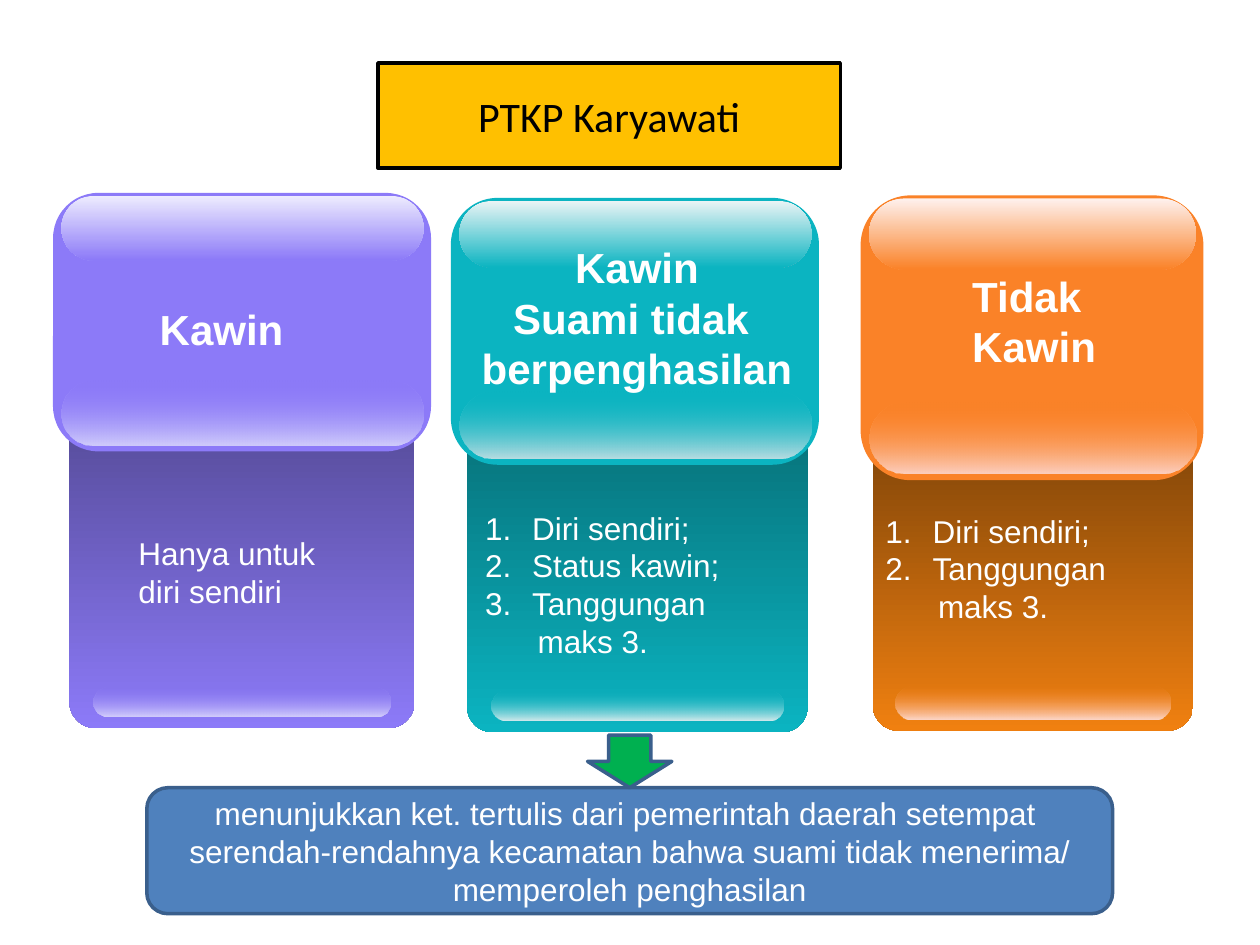
from collections import namedtuple

from lxml.etree import SubElement
from pptx import Presentation
from pptx.dml.color import RGBColor
from pptx.enum.shapes import MSO_SHAPE
from pptx.enum.text import MSO_ANCHOR, PP_ALIGN
from pptx.oxml import parse_xml
from pptx.oxml.ns import nsdecls, qn
from pptx.util import Cm, Pt

Box = namedtuple("Box", "left top width height")
Stop = namedtuple("Stop", "color opaque", defaults=[True])
Label = namedtuple("Label", "box lines align", defaults=[PP_ALIGN.LEFT])
Note = namedtuple("Note", "box items tail", defaults=[None])
Tones = namedtuple("Tones", "cap dark bright top_gloss low_gloss foot_gloss")

WHITE = "FFFFFF"
BLUE_EDGE = "3A5F8C"
LIST_INDENT = Cm(0.95)
TAIL_INDENT = Cm(1.06)


def rgb(color):
    """Turn a hex string into a colour."""
    return RGBColor.from_string(color)


def lengths(box):
    """Turn a box in centimetres into lengths."""
    return [Cm(value) for value in box]


def inside(outer, inner):
    """Shift a relative box into the box that holds it."""
    return Box(outer.left + inner.left, outer.top + inner.top, inner.width, inner.height)


def add_plain(shapes, kind, box, color=None, edge=None, corner=None):
    """Add a preset shape without shadow."""
    shape = shapes.add_shape(kind, *lengths(box))
    shape.shadow.inherit = False
    if corner is not None:
        shape.adjustments[0] = corner
    if color:
        paint(shape, color)
    if edge:
        outline(shape, edge)
    else:
        shape.line.fill.background()
    return shape


def paint(shape, color):
    """Fill a shape with one colour."""
    shape.fill.solid()
    shape.fill.fore_color.rgb = rgb(color)


def outline(shape, color):
    """Give a shape a two-point edge."""
    shape.line.color.rgb = rgb(color)
    shape.line.width = Pt(2)


def add_shaded(shapes, box, corner, upper, lower):
    """Add a rounded box shaded from its upper to its lower stop."""
    shape = add_plain(shapes, MSO_SHAPE.ROUNDED_RECTANGLE, box, corner=corner)
    shape.fill.gradient()
    shape.fill.gradient_angle = 270
    for target, stop in zip(shape.fill.gradient_stops, (upper, lower)):
        target.color.rgb = rgb(stop.color)
    tints = shape._element.spPr.iter(qn("a:srgbClr"))
    for tint, stop in zip(list(tints), (upper, lower)):
        if not stop.opaque:
            SubElement(tint, qn("a:alpha"), val="0")


def add_paragraph(frame, index, text, size, color=WHITE, face="Arial", align=PP_ALIGN.LEFT):
    """Write one line of text as a paragraph and return it."""
    paragraph = frame.paragraphs[0] if index == 0 else frame.add_paragraph()
    paragraph.alignment = align
    run = paragraph.add_run()
    run.text = text
    run.font.size = Pt(size)
    run.font.name = face
    run.font.color.rgb = rgb(color)
    return paragraph


def add_frame(shapes, box):
    """Add a wrapping text box and return its frame."""
    frame = shapes.add_textbox(*lengths(box)).text_frame
    frame.word_wrap = True
    return frame


def add_label(shapes, box, label):
    """Write a bold heading with a black text shadow."""
    frame = add_frame(shapes, box)
    for index, line in enumerate(label.lines):
        run = add_paragraph(frame, index, line, 24, align=label.align).runs[0]
        run.font.bold = True
        run._r.rPr.find(qn("a:solidFill")).addnext(parse_xml(
            f'<a:effectLst {nsdecls("a")}><a:outerShdw dist="35921" dir="2700000">'
            '<a:srgbClr val="000000"/></a:outerShdw></a:effectLst>'))


def indent(paragraph, margin, first):
    """Set the left margin and first-line indent of a paragraph."""
    properties = paragraph._p.get_or_add_pPr()
    properties.set("marL", str(margin))
    properties.set("indent", str(first))
    return properties


def add_note(shapes, box, note):
    """Write plain lines, or a numbered list when a tail line ends it."""
    frame = add_frame(shapes, box)
    for index, item in enumerate(note.items):
        paragraph = add_paragraph(frame, index, item, 18)
        if note.tail:
            properties = indent(paragraph, LIST_INDENT, -LIST_INDENT)
            SubElement(properties, qn("a:buFont"), typeface="+mj-lt")
            SubElement(properties, qn("a:buAutoNum"), type="arabicPeriod")
    if note.tail:
        indent(add_paragraph(frame, len(note.items), note.tail, 18), TAIL_INDENT, 0)


def add_column(slide, cap, body, tones, label, note):
    """Draw one glossy column: shaded body, cap, glosses and texts."""
    shapes = slide.shapes.add_group_shape().shapes
    clear = Stop(tones.cap, False)
    add_shaded(shapes, body, 0.079, Stop(tones.dark), Stop(tones.bright))
    add_plain(shapes, MSO_SHAPE.ROUNDED_RECTANGLE, cap, tones.cap, corner=0.175)

    gloss_width, gloss_height = cap.width - 0.32, cap.height / 4
    upper = Box(0.17, 0.06, gloss_width, gloss_height)
    lower = Box(0.17, cap.height - gloss_height - 0.13, gloss_width, gloss_height)
    add_shaded(shapes, inside(cap, lower), 0.5, clear, Stop(tones.low_gloss))
    add_shaded(shapes, inside(cap, upper), 0.5, Stop(tones.top_gloss), Stop(tones.cap))

    foot_width, foot_height = body.width * 0.86, cap.height * 0.115
    foot = Box((body.width - foot_width) / 2, body.height - foot_height - 0.23,
               foot_width, foot_height)
    add_shaded(shapes, inside(body, foot), 0.5, clear, Stop(tones.foot_gloss))

    add_label(shapes, inside(cap, label.box), label)
    add_note(shapes, inside(body, note.box), note)


def add_title(slide, box, text):
    """Turn the title placeholder into a framed rounded box."""
    title = slide.shapes.title
    title.left, title.top, title.width, title.height = lengths(box)
    title._element.spPr.append(parse_xml(
        f'<a:prstGeom {nsdecls("a")} prst="roundRect"><a:avLst/></a:prstGeom>'))
    paint(title, "FFC000")
    outline(title, "000000")
    title.text_frame.vertical_anchor = MSO_ANCHOR.MIDDLE
    add_paragraph(title.text_frame, 0, text, 24, "000000", "Calibri", PP_ALIGN.CENTER)


def add_condition(slide, box, lines):
    """Draw the condition box with the arrow that leads down to it."""
    condition = add_plain(slide.shapes, MSO_SHAPE.ROUNDED_RECTANGLE, box, "4F81BD", BLUE_EDGE)
    frame = condition.text_frame
    frame.word_wrap = True
    frame.vertical_anchor = MSO_ANCHOR.MIDDLE
    for index, line in enumerate(lines):
        add_paragraph(frame, index, line, 18, align=PP_ALIGN.CENTER)
    arrow = Box((box.width - 1.7) / 2, -1.06, 1.7, 1.06)
    add_plain(slide.shapes, MSO_SHAPE.DOWN_ARROW, inside(box, arrow), "00B050", BLUE_EDGE)


def main():
    """Build and save the slide."""
    deck = Presentation()
    deck.slide_width, deck.slide_height = Cm(25.4), Cm(19.05)
    slide = deck.slides.add_slide(deck.slide_layouts[5])
    add_title(slide, Box(7.62, 1.27, 9.32, 2.12), "PTKP Karyawati")
    add_column(
        slide, Box(1.07, 3.89, 7.62, 5.21), Box(1.4, 7.92, 6.96, 6.76),
        Tones("8C7AF8", "524892", "8C7AF8", "EDEBFE", "D1CDFC", "D5D0FC"),
        Label(Box(1.9, 2.1, 3.4, 1.17), ["Kawin"]),
        Note(Box(1.14, 2.72, 4.83, 1.63), ["Hanya untuk", "diri sendiri"]))
    add_column(
        slide, Box(17.35, 3.94, 6.91, 5.74), Box(17.6, 8.08, 6.45, 6.65),
        Tones("FA8228", "733E08", "F08010", "FEF1EE", "FDCFC0", "FDD9CE"),
        Label(Box(2, 1.39, 3.4, 2.06), ["Tidak", "Kawin"]),
        Note(Box(0, 2.11, 5.18, 2.57), ["Diri sendiri;", "Tanggungan"], "maks 3."))
    add_column(
        slide, Box(9.09, 3.99, 7.42, 5.38), Box(9.42, 8.33, 6.86, 6.43),
        Tones("0BB4C1", "076F77", "0BB4C1", "EAF4F5", "BADDE2", "DAECEE"),
        Label(Box(0.23, 0.76, 7.04, 3.05),
              ["Kawin", "Suami tidak ", "berpenghasilan"], PP_ALIGN.CENTER),
        Note(Box(0.11, 1.8, 5.28, 3.33),
             ["Diri sendiri;", "Status kawin;", "Tanggungan"], "maks 3."))
    add_condition(slide, Box(2.96, 15.88, 19.47, 2.54), [
        "menunjukkan ket. tertulis dari pemerintah daerah setempat ",
        "serendah-rendahnya kecamatan bahwa suami tidak menerima/",
        "memperoleh penghasilan"])
    deck.save("out.pptx")


if __name__ == "__main__":
    main()
